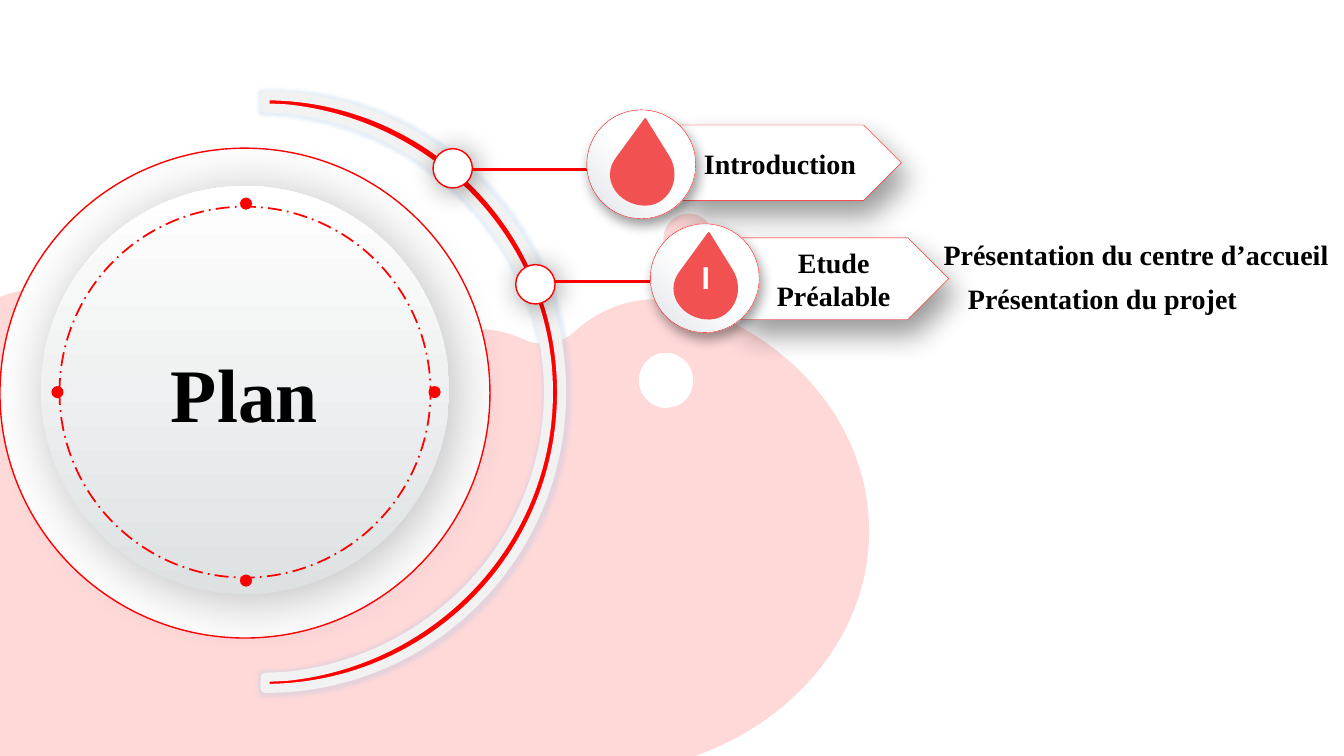
"""Build the "Plan" slide: a dial, an arc of nodes and its agenda items."""
from dataclasses import dataclass

from lxml import etree
from pptx import Presentation
from pptx.dml.color import RGBColor
from pptx.enum.dml import MSO_LINE
from pptx.enum.shapes import MSO_CONNECTOR, MSO_SHAPE
from pptx.enum.text import MSO_ANCHOR, MSO_AUTO_SIZE, PP_ALIGN
from pptx.oxml.ns import qn
from pptx.util import Inches, Pt

ELLIPSE, PENTAGON = MSO_SHAPE.OVAL, MSO_SHAPE.PENTAGON
STRAIGHT, DASH_DOT = MSO_CONNECTOR.STRAIGHT, MSO_LINE.LONG_DASH_DOT
TOP, MIDDLE = MSO_ANCHOR.TOP, MSO_ANCHOR.MIDDLE
LEFT, CENTER = PP_ALIGN.LEFT, PP_ALIGN.CENTER
FIXED = MSO_AUTO_SIZE.NONE
UNITS = 1000


@dataclass(frozen=True)
class Theme:
    """Colours, fonts and type sizes of the slide."""
    red: str = "FF0000"
    pink: str = "FFD8D8"
    drop: str = "F25151"
    white: str = "FFFFFF"
    black: str = "000000"
    band: str = "F2F2F2"
    steel: str = "DDE1E2"
    mist: str = "E0E3E8"
    shade: str = "595959"
    glow: str = "9DC3E6"
    serif: str = "Times New Roman"
    sans: str = "Calibri"
    title: int = 54
    numeral: int = 24
    label: int = 20


THEME = Theme()
NODE_SHADOW = (THEME.black, 40, 20, 3, 45)
FACE_SHADOW = (THEME.shade, 40, 40, 6, 45)
PLATE_SHADOW = (THEME.black, 40, 21, 12, 65)
BADGE_SHADOW = (THEME.black, 40, 9, 5, 65)

BLOB_HOLE = [
    (6.61, 3.5), (6.77, 3.5, 6.9, 3.65, 6.87, 3.82), (6.86, 3.93, 6.77, 4.03, 6.66, 4.04),
    (6.64, 4.04, 6.62, 4.05, 6.61, 4.05), (6.44, 4.05, 6.31, 3.89, 6.34, 3.73),
    (6.36, 3.61, 6.45, 3.52, 6.56, 3.5), (6.57, 3.5, 6.59, 3.5, 6.61, 3.5)]
LARGE_BLOB = [
    (6.5, 2.97), (6.21, 2.97, 5.93, 3.08, 5.71, 3.28), (5.63, 3.36, 5.52, 3.41, 5.39, 3.41),
    (5.32, 3.41, 5.26, 3.4, 5.2, 3.37), (5.03, 3.29, 4.85, 3.26, 4.68, 3.26),
    (4.42, 3.26, 4.18, 3.34, 3.97, 3.5), (3.76, 3.67, 3.58, 3.88, 3.43, 4.1),
    (3.18, 4.5, 2.82, 4.81, 2.39, 4.98), (2.35, 5, 2.32, 5.02, 2.29, 5.03),
    (2.03, 5.15, 1.86, 5.43, 1.89, 5.72), (1.9, 5.74, 1.9, 5.77, 1.89, 5.8),
    (1.88, 5.92, 1.78, 6.02, 1.66, 6.03), (1.65, 6.03), (1.41, 6.07, 1.23, 6.26, 1.22, 6.5),
    (1.22, 6.51), (1.22, 7.46, 2.18, 8.23, 3.36, 8.23), (3.79, 8.23, 4.19, 8.13, 4.52, 7.96),
    (4.86, 7.77, 5.24, 7.67, 5.62, 7.67), (5.65, 7.67, 5.68, 7.68, 5.71, 7.68), (5.85, 7.68),
    (7.37, 7.68, 8.62, 6.6, 8.62, 5.27), (8.62, 4.27, 7.92, 3.41, 6.92, 3.05),
    (6.78, 3, 6.64, 2.97, 6.5, 2.97)]
CORNER_BLOB = [
    (0.53, 2.85), (0.77, 2.85, 1.02, 2.9, 1.24, 3), (1.69, 3.2, 2.06, 3.56, 2.33, 3.99),
    (2.58, 4.36, 2.76, 4.8, 3.14, 5.04), (3.41, 5.21, 3.74, 5.25, 4.05, 5.3),
    (4.43, 5.37, 4.81, 5.44, 5.17, 5.59), (5.52, 5.73, 5.86, 5.97, 6.08, 6.29),
    (6.34, 6.67, 6.42, 7.14, 6.43, 7.6), (0.05, 7.6), (-0.02, 7.6, -0.08, 7.54, -0.08, 7.46),
    (-0.08, 2.98), (0.11, 2.89, 0.32, 2.85, 0.53, 2.85)]
HALF_RING = [
    (0, 0), (1.63, 0, 2.94, 1.32, 2.94, 2.94), (2.94, 4.57, 1.63, 5.88, 0, 5.88), (0, 5.77),
    (0.21, 5.76), (1.67, 5.61, 2.81, 4.41, 2.81, 2.94), (2.81, 1.48, 1.67, 0.28, 0.21, 0.13), (0, 0.12)]
DROP = [
    (0.35, 0), (0.35, 0, 0.34, 0.01, 0.34, 0.01), (0.07, 0.38),
    (0.03, 0.43, 0, 0.49, 0, 0.56), (0, 0.73, 0.16, 0.87, 0.35, 0.87), (0.36, 0.87),
    (0.51, 0.87, 0.64, 0.73, 0.64, 0.56), (0.64, 0.49, 0.62, 0.43, 0.59, 0.38),
    (0.36, 0.01), (0.36, 0.01, 0.36, 0, 0.35, 0)]


def add_xml(parent, tag, **attributes):
    """Add a drawing element to a parent and return it."""
    return etree.SubElement(parent, qn("a:" + tag), {k: str(v) for k, v in attributes.items()})


def add_color(parent, color, alpha=100):
    """Add a colour with an opacity in percent."""
    add_xml(add_xml(parent, "srgbClr", val=color), "alpha", val=alpha * 1000)


def style(shape, fill=None, line=None, width=1, shadow=None):
    """Set the fill, outline and shadow of a shape."""
    shape.shadow.inherit = False
    if fill:
        shape.fill.solid()
        shape.fill.fore_color.rgb = RGBColor.from_string(fill)
    else:
        shape.fill.background()
    if line:
        shape.line.color.rgb = RGBColor.from_string(line)
        shape.line.width = Pt(width)
    else:
        shape.line.fill.background()
    if shadow:
        color, alpha, blur, distance, angle = shadow
        effects = shape._element.spPr.find(qn("a:effectLst"))
        outer = add_xml(effects, "outerShdw", blurRad=Pt(blur), dist=Pt(distance),
                        dir=angle * 60000, algn="tl", rotWithShape=0)
        add_color(outer, color, alpha)
    return shape


def add_gradient(shape, stops, angle=None):
    """Replace an empty fill by a linear gradient, or a radial one from the top right."""
    empty = shape._element.spPr.find(qn("a:noFill"))
    gradient = etree.Element(qn("a:gradFill"), rotWithShape="1")
    stop_list = add_xml(gradient, "gsLst")
    for position, color in stops:
        add_color(add_xml(stop_list, "gs", pos=position * 1000), color)
    if angle is None:
        radial = add_xml(gradient, "path", path="circle")
        add_xml(radial, "fillToRect", l=100000, b=100000)
        add_xml(gradient, "tileRect", t=-100000, r=-100000)
    else:
        add_xml(gradient, "lin", ang=angle * 60000, scaled=0)
    empty.getparent().replace(empty, gradient)


def write(shape, text, size, font=THEME.serif, color=THEME.black, align=CENTER, anchor=MIDDLE):
    """Put one bold paragraph into a shape."""
    frame = shape.text_frame
    frame.word_wrap, frame.auto_size, frame.vertical_anchor = True, FIXED, anchor
    para = frame.paragraphs[0]
    para.text, para.alignment = text, align
    para.font.name, para.font.size, para.font.bold = font, Pt(size), True
    para.font.color.rgb = RGBColor.from_string(color)


def add_circle(page, x, y, diameter, **look):
    """Draw a circle around a centre."""
    corner = Inches(x - diameter / 2), Inches(y - diameter / 2)
    return style(page.shapes.add_shape(ELLIPSE, *corner, Inches(diameter), Inches(diameter)), **look)


def add_outline(page, left, top, *contours, **look):
    """Draw closed contours of lines and cubic curves, in inches from a corner, as one freeform."""
    ends = [[((left + s[-2]) * UNITS, (top + s[-1]) * UNITS) for s in contour] for contour in contours]
    builder = page.shapes.build_freeform(*ends[0][0], scale=Inches(1) / UNITS)
    for index, points in enumerate(ends):
        if index:
            builder.move_to(*points[0])
        builder.add_line_segments(points[1:], close=True)
    shape = builder.convert_to_shape()
    segments = [s for contour in contours for s in contour[1:]]
    min_x, min_y = (min(s[axis] for contour in contours for s in contour) for axis in (-2, -1))
    for straight, segment in zip(list(shape._element.iter(qn("a:lnTo"))), segments):
        if len(segment) == 6:
            curve = etree.Element(qn("a:cubicBezTo"))
            for x, y in zip(segment[::2], segment[1::2]):
                add_xml(curve, "pt", x=round((x - min_x) * UNITS), y=round((y - min_y) * UNITS))
            straight.getparent().replace(straight, curve)
    return style(shape, **look)


def draw_backdrop(page, left, top):
    """Draw the pink blobs and bubbles from the page corner."""
    add_outline(page, left, top, BLOB_HOLE, LARGE_BLOB, fill=THEME.pink)
    add_outline(page, left, top, CORNER_BLOB, fill=THEME.pink)
    bubbles = (6.83, 2.37, 0.5), (0.86, 3.57, 0.84), (1.48, 3.75, 0.3), (1.73, 2.77, 0.16), (1.13, 2.21, 0.1)
    for x, y, diameter in bubbles:
        add_circle(page, left + x, top + y, diameter, fill=THEME.pink)


def draw_dial(page, left, top, size, title):
    """Draw the round title dial in a square box."""
    x, y = left + size / 2, top + size / 2
    add_circle(page, x, y, size, fill=THEME.white, line=THEME.red)
    face = add_circle(page, x, y - 0.03, size * 5 / 6, shadow=FACE_SHADOW)
    add_gradient(face, [(0, THEME.steel), (100, THEME.white)], 270)
    box = page.shapes.title
    box.left, box.top, box.width, box.height = map(Inches, (x - 1.43, y - 0.51, 2.85, 1.01))
    write(box, title, THEME.title, anchor=TOP)
    page.shapes._spTree.append(box._element)
    ring = add_circle(page, x, y - 0.01, 3.68, line=THEME.red, width=1.25)
    ring.line.dash_style = DASH_DOT
    for across, down in (0, -1), (0, 1), (1, 0), (-1, 0):
        add_circle(page, x + 0.01 + across * 1.87, y - 0.01 + down * 1.87, 0.12, fill=THEME.red)


def draw_arc(page, left, top):
    """Draw the glowing half ring from its corner."""
    ring = add_outline(page, left, top, HALF_RING, fill=THEME.red, line=THEME.band, width=6.5)
    glow = add_xml(ring._element.spPr.find(qn("a:effectLst")), "glow", rad=Pt(5))
    add_color(glow, THEME.glow, 25)


def draw_item(page, node, line, badge, plate, label, numeral=""):
    """Draw one agenda item: node, line, labelled plate and drop badge."""
    add_circle(page, *node, 0.39, fill=THEME.white, line=THEME.red, shadow=NODE_SHADOW)
    start, end, height = map(Inches, line)
    link = page.shapes.add_connector(STRAIGHT, start, height, end, height)
    link.line.color.rgb, link.line.width = RGBColor.from_string(THEME.red), Pt(2.25)
    add_xml(link._element.spPr, "effectLst")
    arrow = style(page.shapes.add_shape(PENTAGON, *map(Inches, plate)), THEME.white, THEME.red, 0.25, PLATE_SHADOW)
    write(arrow, label, THEME.label)
    x, y = badge
    disc = add_circle(page, x, y, 1.08, line=THEME.red, width=0.25, shadow=BADGE_SHADOW)
    add_gradient(disc, [(50, THEME.white), (100, THEME.mist)])
    drop = add_outline(page, x - 0.31, y - 0.46, DROP, fill=THEME.drop)
    if numeral:
        write(drop, numeral, THEME.numeral, THEME.sans, THEME.white)


def draw_topic(page, left, top, text, align):
    """Write one topic line beside an item."""
    box = page.shapes.add_textbox(Inches(left), Inches(top), Inches(6.67), Inches(0.44))
    write(box, text, THEME.label, align=align, anchor=TOP)


def main():
    """Build and save the deck."""
    deck = Presentation()
    deck.slide_width, deck.slide_height = Inches(13.33), Inches(7.5)
    page = deck.slides.add_slide(deck.slide_layouts[5])
    draw_backdrop(page, 0, 0)
    draw_dial(page, 0, 1.47, 4.86, "Plan")
    draw_arc(page, 2.63, 0.95)
    draw_item(page, (4.49, 1.67), (4.68, 6.21, 1.68), (6.36, 1.63), (6.72, 1.24, 2.22, 0.75), "Introduction")
    draw_item(page, (5.31, 2.82), (5.49, 6.72, 2.79), (6.99, 2.76), (7.33, 2.36, 2.08, 0.81), "Etude Préalable", "I")
    draw_topic(page, 9.26, 2.31, "Présentation du centre d’accueil", LEFT)
    draw_topic(page, 7.6, 2.74, "Présentation du projet", CENTER)
    deck.save("out.pptx")


if __name__ == "__main__":
    main()
